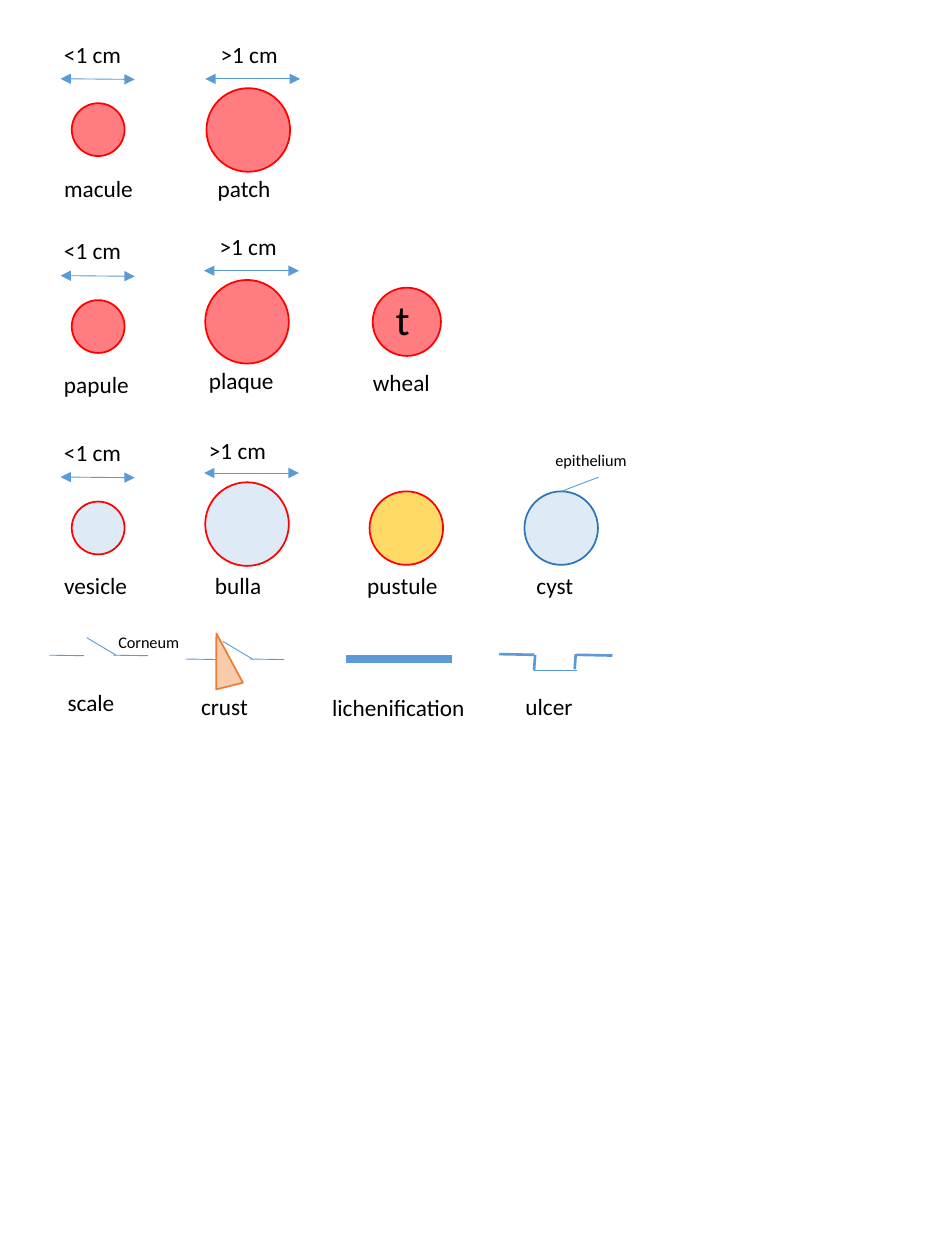
import pptx
import pptx.util
import pptx.dml.color
import pptx.enum.shapes
import pptx.enum.text
import pptx.oxml.ns
from lxml import etree

Pt = pptx.util.Pt
RGB = pptx.dml.color.RGBColor.from_string
SHAPE = pptx.enum.shapes.MSO_SHAPE
C = {"red": "FF0000", "pink": "FF7C80", "pale": "DEEBF7", "yellow": "FFD966",
     "blue": "5B9BD5", "navy": "2E75B6", "peach": "F8CBAD", "orange": "ED7D31",
     "black": "000000", "white": "FFFFFF"}

prs = pptx.Presentation()
prs.slide_width, prs.slide_height = Pt(540), Pt(720)
s = prs.slides.add_slide(prs.slide_layouts[6])
s.background.fill.solid()
s.background.fill.fore_color.rgb = RGB(C["white"])


def add_filled(kind, x, y, w, h, fill, line):
    sp = s.shapes.add_shape(kind, Pt(x), Pt(y), Pt(w), Pt(h))
    sp.shadow.inherit = False
    sp.fill.solid()
    sp.fill.fore_color.rgb = RGB(C[fill])
    sp.line.color.rgb = RGB(C[line])
    sp.line.width = Pt(1)
    return sp


def add_line(x1, y1, x2, y2, width=0.5, arrows=False):
    cn = s.shapes.add_connector(pptx.enum.shapes.MSO_CONNECTOR.STRAIGHT,
                                Pt(x1), Pt(y1), Pt(x2), Pt(y2))
    cn.line.color.rgb = RGB(C["blue"])
    cn.line.width = Pt(width)
    if arrows:
        ln = cn.line._get_or_add_ln()
        for end in ("a:headEnd", "a:tailEnd"):
            etree.SubElement(ln, pptx.oxml.ns.qn(end), type="triangle")
    etree.SubElement(cn._element.spPr, pptx.oxml.ns.qn("a:effectLst"))
    return cn


# Lesions with a size arrow: small (<1 cm) and large (>1 cm)
for top, fill in ((59, "pink"), (171.5, "pink"), (286.6, "pale")):
    add_filled(SHAPE.OVAL, 41, top, 30.2, 30.2, fill, "red")
    add_line(34.6, top - 14, 77, top - 13.6, arrows=True)
for left, top, fill in ((118, 50.4, "pink"), (117.3, 160, "pink"), (117.3, 275.6, "pale")):
    add_filled(SHAPE.OVAL, left, top, 47.8, 47.8, fill, "red")
    add_line(left - 0.7, top - 5.3, left + 53.5, top - 5.3, arrows=True)

# Wheal, pustule and cyst
add_filled(SHAPE.OVAL, 213, 164.4, 39, 39, "pink", "red")
add_filled(SHAPE.OVAL, 211.2, 280.8, 42, 42, "yellow", "red")
cyst = add_filled(SHAPE.OVAL, 299.7, 280.8, 42, 42, "pale", "navy")
add_line(320.7, 280.8, 342, 272.7).begin_connect(cyst, 0)

# Scale and crust: broken surface with a lifted flake
for x, y in ((28.2, 374.4), (106.1, 376.6)):
    add_line(x, y, x + 19.7, y + 0.3)
    add_line(x + 36.5, y, x + 56.3, y + 0.3)
    add_line(x + 21.4, y - 10, x + 38.2, y)
crust = add_filled(SHAPE.ISOSCELES_TRIANGLE, 119.5, 361.5, 15.8, 31, "peach", "orange")
crust.rotation = 346

# Lichenification
add_line(197.7, 376.6, 258.3, 376.6, 4.5)

# Ulcer: surface, walls and floor
for x1, y1, x2, y2, width in ((285.3, 373.8, 305.4, 374.2, 1.5),
                              (329.7, 374.2, 350, 374.6, 1.5),
                              (305.2, 383.1, 329.7, 383.1, 0.5),
                              (305.8, 374.3, 305.2, 383.1, 1.5),
                              (329, 373.8, 328.4, 382.4, 1.5)):
    add_line(x1, y1, x2, y2, width)

# Labels: text, left, top, width, height, size
names = [("<1 cm", 29.5, 19.4, 47.5), ("macule", 29.5, 96, 54),
         (">1 cm", 119, 19.4, 47.5), ("patch", 117.3, 96, 45.3),
         ("<1 cm", 29.5, 131.3, 47.5), ("papule", 29.5, 208, 52),
         (">1 cm", 118.4, 129, 47.5), ("plaque", 112.3, 205.5, 52),
         ("wheal", 206, 207, 47.5),
         ("<1 cm", 29.5, 247, 47.5), ("vesicle", 29.5, 322.8, 51),
         (">1 cm", 112.3, 245.6, 47.5), ("bulla", 115.8, 323, 41),
         ("pustule", 202.8, 322.8, 55.4), ("cyst", 299.5, 322.8, 36),
         ("scale", 31.5, 390, 41.8), ("crust", 107.8, 392, 41.8),
         ("lichenification", 182.7, 392.5, 90.7), ("ulcer", 293.2, 392, 41.8)]
labels = [(*name, 23.8, 13.3) for name in names]
labels += [("t", 219, 164.2, 22.3, 36, 24),
           ("epithelium", 310.3, 253.6, 56.2, 18.7, 9.3),
           ("Corneum", 60.5, 357.7, 49.7, 18.7, 9.3)]
for text, x, y, w, h, size in labels:
    tf = s.shapes.add_textbox(Pt(x), Pt(y), Pt(w), Pt(h)).text_frame
    tf.word_wrap = False
    tf.auto_size = pptx.enum.text.MSO_AUTO_SIZE.SHAPE_TO_FIT_TEXT
    r = tf.paragraphs[0].add_run()
    r.text = text
    for key, value in {"name": "Calibri", "size": Pt(size)}.items():
        setattr(r.font, key, value)
    r.font.color.rgb = RGB(C["black"])

prs.save("out.pptx")
